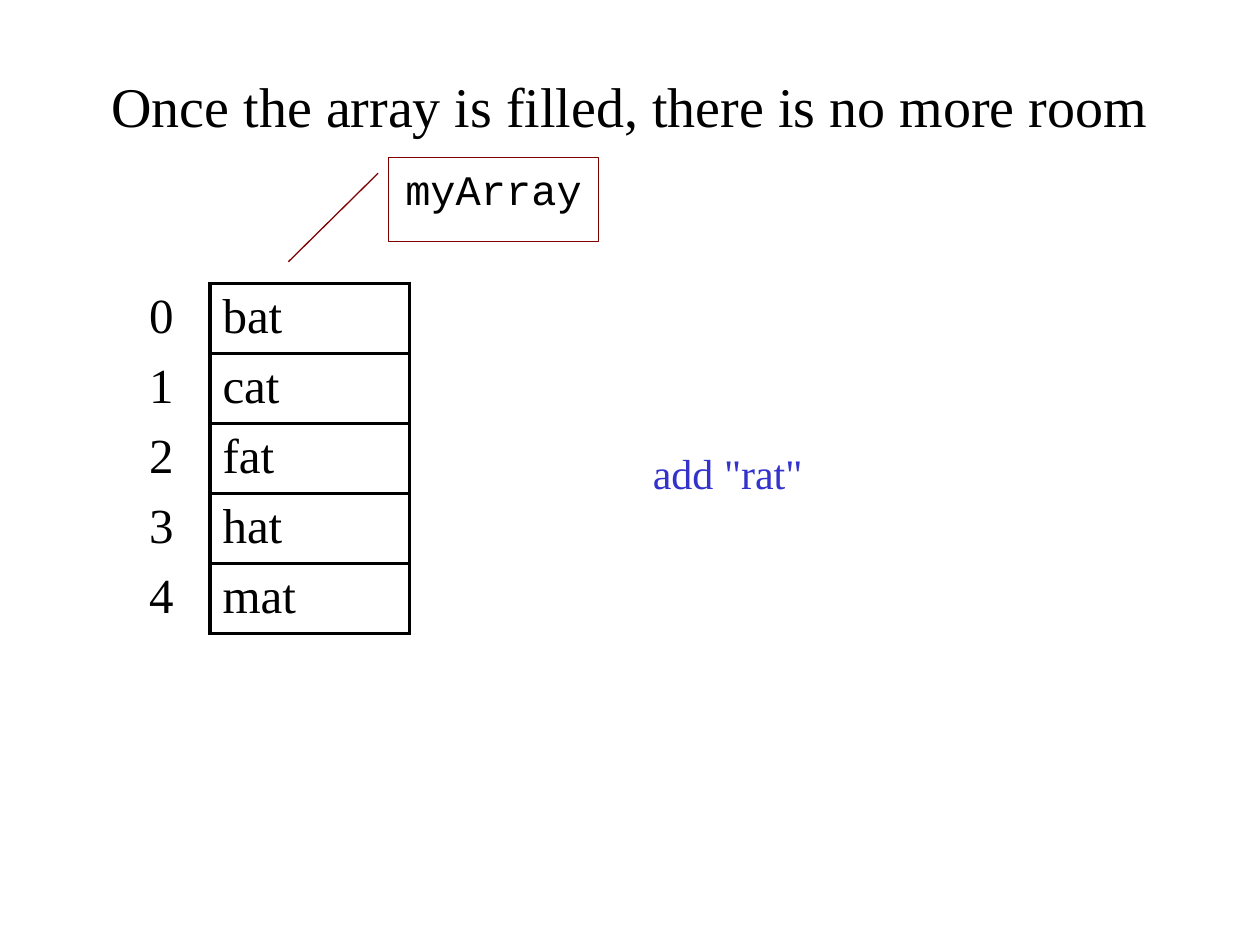
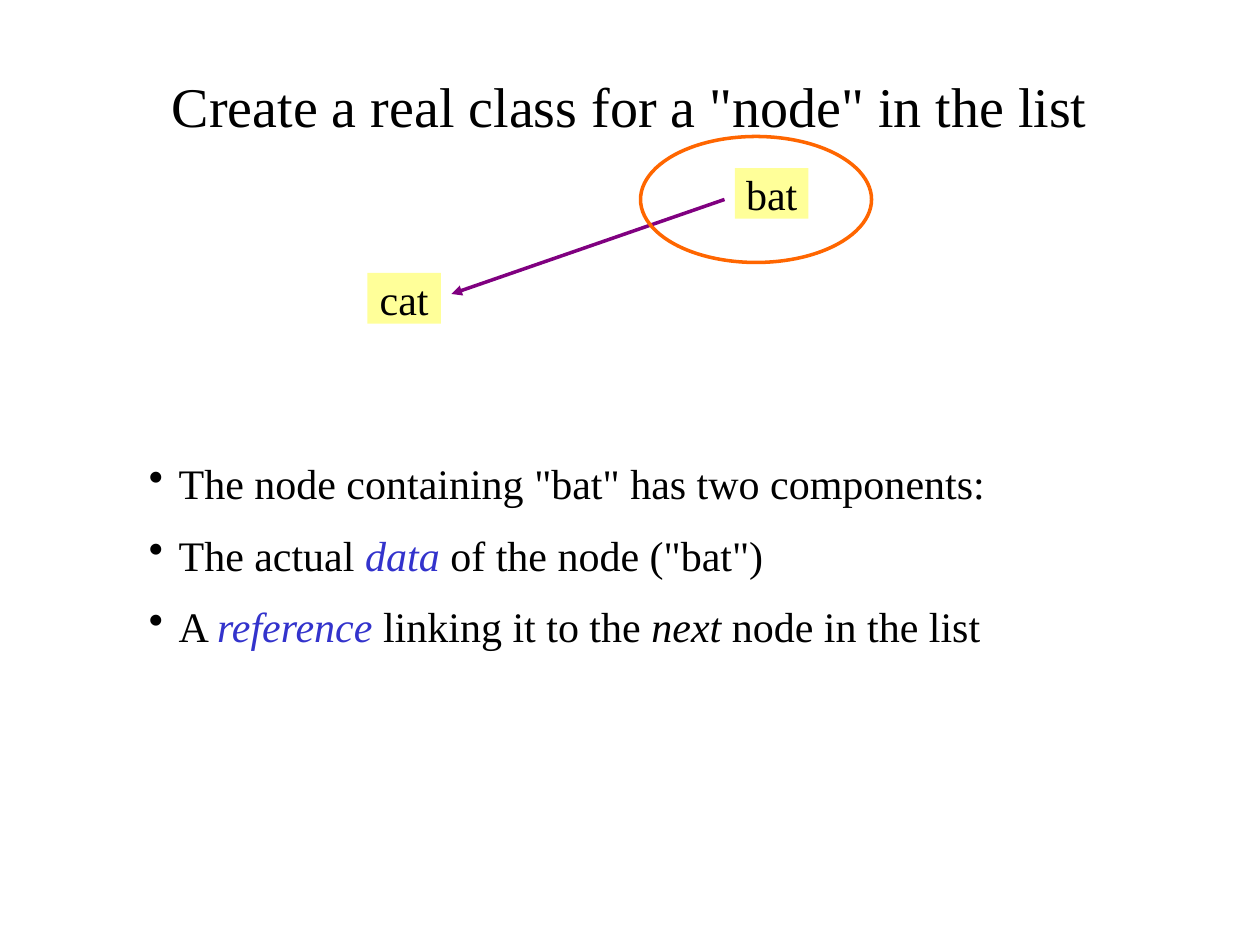
from lxml import etree
from pptx import Presentation
from pptx.dml.color import RGBColor
from pptx.enum.shapes import MSO_CONNECTOR, MSO_SHAPE
from pptx.enum.text import MSO_ANCHOR, MSO_AUTO_SIZE, PP_ALIGN
from pptx.oxml.ns import qn
from pptx.util import Pt

LEFT, CENTER = PP_ALIGN.LEFT, PP_ALIGN.CENTER
TOP, MIDDLE = MSO_ANCHOR.TOP, MSO_ANCHOR.MIDDLE
NO_FIT, GROW = MSO_AUTO_SIZE.NONE, MSO_AUTO_SIZE.SHAPE_TO_FIT_TEXT
RECTANGLE, OVAL = MSO_SHAPE.RECTANGLE, MSO_SHAPE.OVAL
CALLOUT = MSO_SHAPE.LINE_CALLOUT_1
STRAIGHT = MSO_CONNECTOR.STRAIGHT

BLACK = RGBColor(0x00, 0x00, 0x00)
WHITE = RGBColor(0xFF, 0xFF, 0xFF)
BLUE = RGBColor(0x33, 0x33, 0xCC)
MAROON = RGBColor(0x80, 0x00, 0x00)
PURPLE = RGBColor(0x80, 0x00, 0x80)
ORANGE = RGBColor(0xFF, 0x66, 0x00)
YELLOW = RGBColor(0xFF, 0xFF, 0x99)

SERIF, MONO = "Times New Roman", "Courier New"
TITLE_SIZE, CELL_SIZE, BODY_SIZE = 32, 28, 24
BULLET_INDENT = 17
TITLE_ONLY = 5


class Deck:
    """Holds the shared style and the slide being built."""

    def __init__(self):
        self.presentation = Presentation()
        self.presentation.slide_width = Pt(720)
        self.presentation.slide_height = Pt(540)
        self.slide = None

    def add_slide(self, title):
        layout = self.presentation.slide_layouts[TITLE_ONLY]
        self.slide = self.presentation.slides.add_slide(layout)
        shape = self.slide.shapes.title
        shape.left, shape.top, shape.width, shape.height = Pt(54), Pt(36), Pt(612), Pt(48)
        frame = shape.text_frame
        frame.auto_size = NO_FIT
        frame.vertical_anchor = MIDDLE
        self.add_runs(frame.paragraphs[0], [(title, BLACK)], TITLE_SIZE, align=CENTER)

    def add_runs(self, paragraph, runs, size=BODY_SIZE, font=SERIF, align=LEFT,
                 space=0, bullet=False):
        """Each run is (text, colour) or (text, colour, italic); space is a percentage before."""
        paragraph.alignment = align
        properties = paragraph._p.get_or_add_pPr()
        if space:
            before = etree.SubElement(properties, qn("a:spcBef"))
            etree.SubElement(before, qn("a:spcPct")).set("val", str(space * 1000))
        if bullet:
            properties.set("marL", str(Pt(BULLET_INDENT)))
            properties.set("indent", str(-Pt(BULLET_INDENT)))
            etree.SubElement(properties, qn("a:buChar")).set("char", "•")
        for text, colour, *italic in runs:
            run = paragraph.add_run()
            run.text = text
            run.font.name = font
            run.font.size = Pt(size)
            run.font.italic = bool(italic)
            run.font.color.rgb = colour

    def text_box(self, left, top, width, height, paragraphs, bullet=False):
        box = self.slide.shapes.add_textbox(Pt(left), Pt(top), Pt(width), Pt(height))
        frame = box.text_frame
        frame.word_wrap = True
        frame.auto_size = GROW
        for index, runs in enumerate(paragraphs):
            paragraph = frame.add_paragraph() if index else frame.paragraphs[0]
            self.add_runs(paragraph, runs, space=50, bullet=bullet)

    def shape(self, kind, left, top, width, height, fill=None, line=None, weight=2):
        shape = self.slide.shapes.add_shape(kind, Pt(left), Pt(top), Pt(width), Pt(height))
        shape.shadow.inherit = False
        if fill is None:
            shape.fill.background()
        else:
            shape.fill.solid()
            shape.fill.fore_color.rgb = fill
        if line is None:
            shape.line.fill.background()
        else:
            shape.line.color.rgb = line
            shape.line.width = Pt(weight)
        return shape

    def node(self, left, top, text):
        frame = self.shape(RECTANGLE, left, top, 42, 29, fill=YELLOW).text_frame
        frame.margin_left = frame.margin_right = frame.margin_top = frame.margin_bottom = 0
        frame.word_wrap = False
        frame.vertical_anchor = MIDDLE
        self.add_runs(frame.paragraphs[0], [(text, BLACK)], align=CENTER, space=50)

    def callout(self, left, top, width, height, text, adjustments):
        shape = self.shape(CALLOUT, left, top, width, height, line=MAROON, weight=0.75)
        for index, value in enumerate(adjustments):
            shape.adjustments[index] = value
        shape.text_frame.vertical_anchor = TOP
        self.add_runs(shape.text_frame.paragraphs[0], [(text, BLACK)], font=MONO, align=CENTER)

    def arrow(self, start, end, colour):
        points = [Pt(value) for value in (*start, *end)]
        connector = self.slide.shapes.add_connector(STRAIGHT, *points)
        connector.line.color.rgb = colour
        connector.line.width = Pt(2)
        tail = etree.SubElement(connector.line._get_or_add_ln(), qn("a:tailEnd"))
        tail.set("type", "triangle")
        etree.SubElement(connector._element.spPr, qn("a:effectLst"))

    def border(self, cell, sides, colour, weight):
        properties = cell._tc.get_or_add_tcPr()
        for position, side in enumerate(sides):
            line = etree.Element(qn("a:ln" + side), w=str(Pt(weight)))
            fill = etree.SubElement(line, qn("a:solidFill"))
            etree.SubElement(fill, qn("a:srgbClr")).set("val", str(colour))
            properties.insert(position, line)

    def array_table(self, left, top, widths, row_height, values):
        """Boxed values with their unboxed index on the left."""
        table = self.slide.shapes.add_table(
            len(values), len(widths), Pt(left), Pt(top),
            Pt(sum(widths)), Pt(row_height * len(values))).table
        table.first_row = table.horz_banding = False
        for column, width in zip(table.columns, widths):
            column.width = Pt(width)
        for index, value in enumerate(values):
            table.rows[index].height = Pt(row_height)
            index_cell, value_cell = table.cell(index, 0), table.cell(index, 1)
            for cell, text in ((index_cell, str(index)), (value_cell, value)):
                cell.fill.background()
                self.add_runs(cell.text_frame.paragraphs[0], [(text, BLACK)], CELL_SIZE, space=20)
            # Inserted in front, so the last call comes first: L, R, T, B
            self.border(index_cell, "TB", WHITE, 1)
            self.border(index_cell, "R", BLACK, 2.25)
            self.border(index_cell, "L", WHITE, 1)
            self.border(value_cell, "LRTB", BLACK, 2.25)


deck = Deck()

# Slide 1: a full array
deck.add_slide("Once the array is filled, there is no more room")
deck.array_table(78, 162, (42, 114), 40, ("bat", "cat", "fat", "hat", "mat"))
deck.text_box(366, 252, 150, 36, [[('add "rat"', BLUE)]])
deck.callout(222, 90, 120, 48, "myArray", (0.188, -0.05, 1.242, -0.477))

# Slide 2: two linked nodes and the parts of a node
deck.add_slide('Create a real class for a "node" in the list')
deck.node(210, 156, "cat")
deck.node(420, 96, "bat")
deck.arrow((414, 114), (258, 168), PURPLE)
deck.shape(OVAL, 366, 78, 132, 72, line=ORANGE)
deck.text_box(78, 258, 582, 122, [
    [('The node containing "bat" has two components:', BLACK)],
    [("The actual ", BLACK), ("data", BLUE, True), (' of the node ("bat")', BLACK)],
    [("A ", BLACK), ("reference", BLUE, True), (" linking it to the ", BLACK),
     ("next", BLACK, True), (" node in the list", BLACK)],
], bullet=True)

deck.presentation.save("out.pptx")
